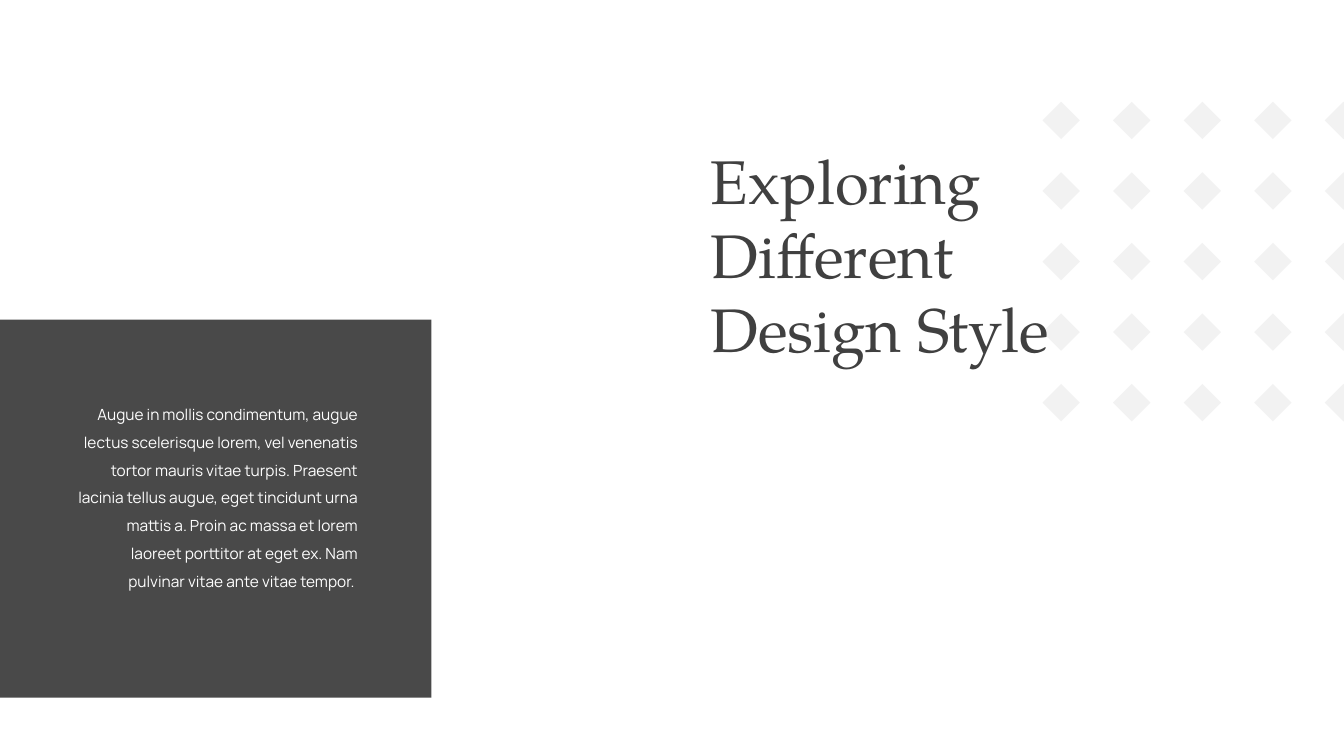
from lxml import etree
from pptx import Presentation
from pptx import util as u
from pptx.dml.color import RGBColor
from pptx.enum import shapes, text
from pptx.oxml import ns

PX = 9144
COLORS = {"panel": "404040", "diamond": "F2F2F2", "title": "404040", "body": "FFFFFF"}
FORMATS = {
    "title": {"name": "TeX Gyre Pagella", "size": u.Pt(44)},
    "body": {"name": "Manrope", "size": u.Pt(11)},
}
TITLE = "Exploring Different Design Style"
BODY = (
    "Augue in mollis condimentum, augue lectus scelerisque lorem, vel venenatis "
    "tortor mauris vitae turpis. Praesent lacinia tellus augue, eget tincidunt urna "
    "mattis a. Proin ac massa et lorem laoreet porttitor at eget ex. "
    "Nam pulvinar vitae ante vitae tempor. "
)


def px(*lengths):
    """Turn px lengths into EMU."""
    return [u.Emu(n * PX) for n in lengths]


def add_block(parent, kind, box, color, alpha=100):
    """Add a plain filled shape, opaque to the given percentage."""
    sp = parent.shapes.add_shape(kind, *px(*box))
    sp.shadow.inherit = False
    sp.fill.solid()
    sp.fill.fore_color.rgb = RGBColor.from_string(COLORS[color])
    sp.line.fill.background()
    if alpha < 100:
        clr = sp.fill._xPr.find(".//" + ns.qn("a:srgbClr"))
        etree.SubElement(clr, ns.qn("a:alpha"), val=str(alpha * 1000))
    return sp


def add_diamonds(s, left, top, size, pitch, count):
    """Add a square grid of diamonds as one group."""
    group = s.shapes.add_group_shape()
    for row in range(count):
        for col in range(count):
            box = (left + col * pitch, top + row * pitch, size, size)
            add_block(group, shapes.MSO_SHAPE.DIAMOND, box, "diamond")


def add_text(s, box, words, style, **layout):
    """Add a wrapped text box in a named style."""
    tf = s.shapes.add_textbox(*px(*box)).text_frame
    tf.word_wrap = True
    tf.auto_size = text.MSO_AUTO_SIZE.SHAPE_TO_FIT_TEXT
    p = tf.paragraphs[0]
    for key, value in layout.items():
        setattr(p, key, value)
    r = p.add_run()
    r.text = words
    for key, value in FORMATS[style].items():
        setattr(r.font, key, value)
    r.font.color.rgb = RGBColor.from_string(COLORS[style])


def main():
    """Build the slide and save it."""
    prs = Presentation()
    prs.slide_width, prs.slide_height = px(1333, 750)
    s = prs.slides.add_slide(prs.slide_layouts[6])
    add_diamonds(s, left=1034, top=101, size=37, pitch=70, count=5)
    add_block(s, shapes.MSO_SHAPE.RECTANGLE, (0, 317, 428, 375), "panel", alpha=95)
    add_text(s, (63, 388, 302, 232), BODY, "body",
             alignment=text.PP_ALIGN.RIGHT, line_spacing=1.5)
    add_text(s, (695, 137, 428, 232), TITLE, "title")
    prs.save("out.pptx")


if __name__ == "__main__":
    main()
